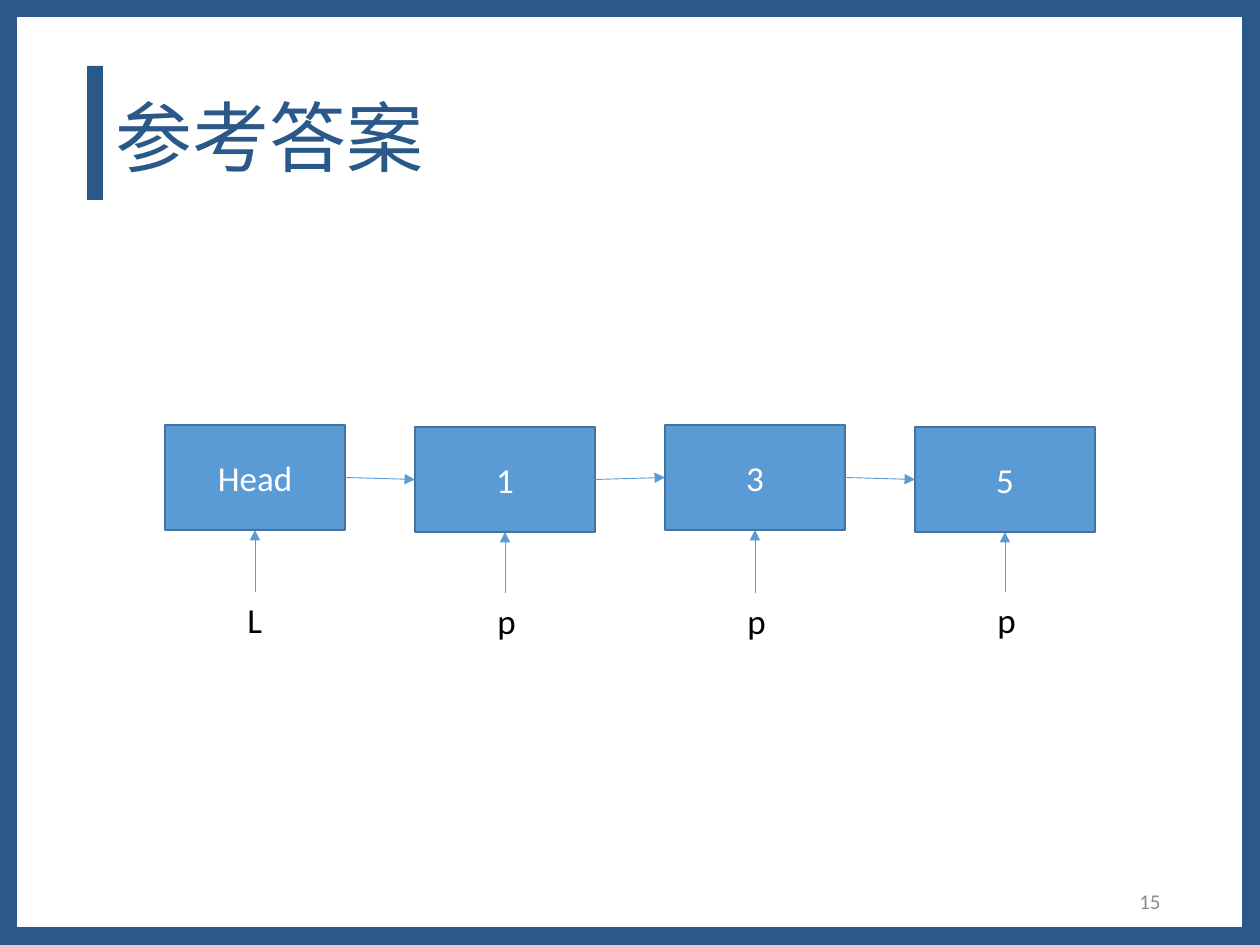
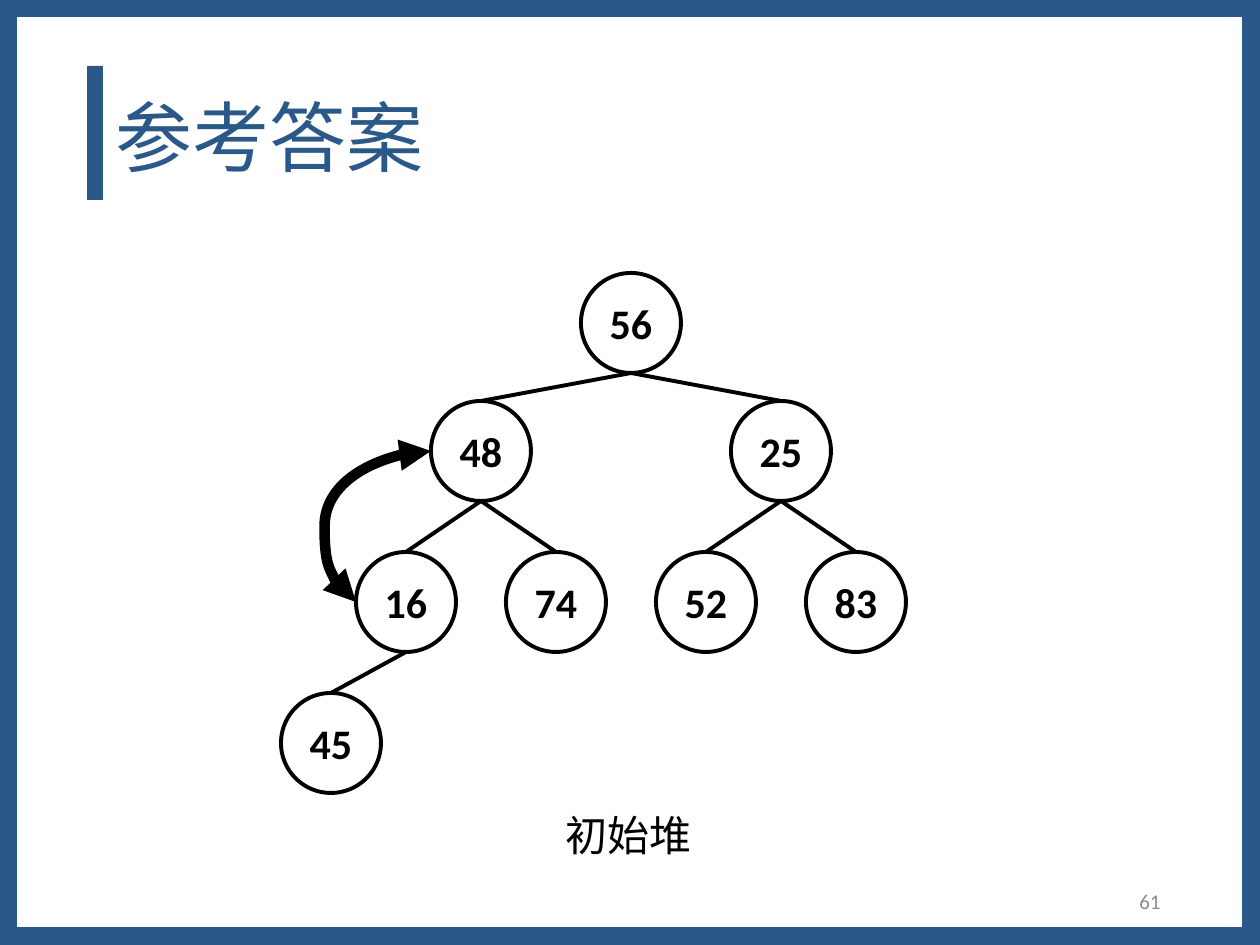
from dataclasses import dataclass

from lxml.etree import SubElement
from pptx import Presentation
from pptx.dml.color import RGBColor
from pptx.enum.shapes import MSO_CONNECTOR, MSO_SHAPE
from pptx.enum.text import MSO_ANCHOR, MSO_AUTO_SIZE, PP_ALIGN
from pptx.oxml.ns import qn
from pptx.util import Pt

PX = 914400 / 126
PAGE_WIDTH, PAGE_HEIGHT = 1260, 945
TITLE_ONLY = 5
TOP, LEFT, BOTTOM, RIGHT = range(4)


@dataclass(frozen=True)
class Theme:
    navy: str = "2A5989"
    blue: str = "5B9BD5"
    blue_edge: str = "43739E"
    gray: str = "8C8C8C"
    black: str = "000000"
    white: str = "FFFFFF"
    title_font: str = "Arial"
    body_font: str = "Calibri"
    title_size: int = 44
    large_size: int = 24
    body_size: int = 20
    number_size: int = 12


def emu(*lengths):
    return [round(length * PX) for length in lengths]


def color(value):
    return RGBColor.from_string(value)


class SlideBuilder:
    """Draws styled elements on the current slide; lengths are in px."""

    def __init__(self, deck, theme):
        self.deck = deck
        self.theme = theme
        self.page = None
        self.shapes = None

    def start(self, title, number):
        theme = self.theme
        self.page = self.deck.slides.add_slide(self.deck.slide_layouts[TITLE_ONLY])
        self.shapes = self.page.shapes
        self.shape(MSO_SHAPE.RECTANGLE, (0, 0, PAGE_WIDTH, PAGE_HEIGHT), line=(theme.navy, 20))
        self.shape(MSO_SHAPE.RECTANGLE, (87, 66, 16, 134), fill=theme.navy)
        self.title(title)
        box = self.text((890, 876, 283, 50), number, theme.number_size, theme.gray, PP_ALIGN.RIGHT)
        box.text_frame.vertical_anchor = MSO_ANCHOR.MIDDLE

    def title(self, words):
        box = self.shapes.title
        box.left, box.top, box.width, box.height = emu(103, 50, 1070, 183)
        frame = box.text_frame
        frame.auto_size = MSO_AUTO_SIZE.NONE
        frame.vertical_anchor = MSO_ANCHOR.MIDDLE
        para = self.set_words(frame, words, self.theme.title_size, self.theme.navy, PP_ALIGN.LEFT)
        para.font.name = self.theme.title_font
        para.line_spacing = 0.9

    def set_words(self, frame, words, size, ink, align):
        frame.text = words
        para = frame.paragraphs[0]
        para.alignment = align
        para.font.name = self.theme.body_font
        para.font.size = Pt(size)
        para.font.color.rgb = color(ink)
        return para

    def text(self, place, words, size, ink, align=PP_ALIGN.LEFT, wrap=True, grow=False):
        box = self.shapes.add_textbox(*emu(*place))
        frame = box.text_frame
        frame.word_wrap = wrap
        frame.auto_size = MSO_AUTO_SIZE.SHAPE_TO_FIT_TEXT if grow else MSO_AUTO_SIZE.NONE
        self.set_words(frame, words, size, ink, align)
        return box

    def shape(self, kind, place, fill=None, line=None):
        """Add a preset shape; line is a (colour, points) pair."""
        box = self.shapes.add_shape(kind, *emu(*place))
        box.shadow.inherit = False
        if fill:
            box.fill.solid()
            box.fill.fore_color.rgb = color(fill)
        else:
            box.fill.background()
        if line:
            box.line.color.rgb = color(line[0])
            box.line.width = Pt(line[1])
        else:
            box.line.fill.background()
        return box

    def list_node(self, place, words):
        theme = self.theme
        box = self.shape(MSO_SHAPE.RECTANGLE, place, theme.blue, (theme.blue_edge, 1))
        box.text_frame.vertical_anchor = MSO_ANCHOR.MIDDLE
        self.set_words(box.text_frame, words, theme.body_size, theme.white, PP_ALIGN.CENTER)
        return box

    def tree_node(self, place, words):
        theme = self.theme
        circle = self.shape(MSO_SHAPE.OVAL, place, line=(theme.black, 2.25))
        frame = circle.text_frame
        frame.word_wrap = False
        frame.vertical_anchor = MSO_ANCHOR.MIDDLE
        para = self.set_words(frame, words, theme.large_size, theme.black, PP_ALIGN.CENTER)
        para.font.bold = True

    def connector(self, begin, end, ink, width, arrows=(), kind=MSO_CONNECTOR.STRAIGHT):
        """Draw a line; arrows names the ends (headEnd, tailEnd) with a triangle."""
        line = self.shapes.add_connector(kind, *emu(*begin, *end))
        line.line.color.rgb = color(ink)
        line.line.width = Pt(width)
        properties = line.element.spPr
        for arrow in arrows:
            SubElement(properties.find(qn("a:ln")), qn(f"a:{arrow}"), type="triangle")
        SubElement(properties, qn("a:effectLst"))
        return line

    def pointer(self, begin, end):
        return self.connector(begin, end, self.theme.blue, 0.5, ["tailEnd"])


def build_linked_list(builder):
    theme = builder.theme
    builder.start("参考答案", "15")
    width, height, step = 180, 105, 250
    # Each entry: value, box top, pointer name, pointer label top
    nodes = [("Head", 425, "L", 592), ("1", 427, "p", 593),
             ("3", 425, "p", 593), ("5", 427, "p", 592)]
    previous = None
    for index, (value, top, name, label_top) in enumerate(nodes):
        left = 165 + index * step
        center = left + width // 2
        box = builder.list_node((left, top, width, height), value)
        if previous:
            middle = top + height // 2
            link = builder.pointer((left - step + width, middle), (left, middle))
            link.begin_connect(previous, RIGHT)
            link.end_connect(box, LEFT)
        builder.text((center - 20, label_top, 40, 55), name,
                     theme.body_size, theme.black, grow=True)
        pointer = builder.pointer((center, label_top), (center, top + height))
        pointer.end_connect(box, BOTTOM)
        previous = box


def build_heap(builder):
    theme = builder.theme
    builder.start("参考答案", "61")
    values = [56, 48, 25, 16, 74, 52, 83, 45]
    level_tops = [273, 401, 552, 693]
    spreads = [0, 150, 75, 75]
    size, radius = 100, 50

    builder.shapes = builder.page.shapes.add_group_shape().shapes
    spots = []
    for index, value in enumerate(values):
        level = (index + 1).bit_length() - 1
        top = level_tops[level]
        if index == 0:
            center = 631
        else:
            parent_center, parent_top = spots[(index - 1) // 2]
            side = -1 if index % 2 else 1
            center = parent_center + side * spreads[level]
            builder.connector((parent_center, parent_top + size), (center, top),
                              theme.black, 2.25)
        spots.append((center, top))
        builder.tree_node((center - radius, top, size, size), str(value))
    builder.shapes = builder.page.shapes

    builder.text((553, 803, 152, 63), "初始堆", theme.large_size, theme.black,
                 wrap=False, grow=True)
    begin, end = [(center - radius, top + radius) for center, top in (spots[1], spots[3])]
    swap = builder.connector(begin, end, theme.black, 6, ["headEnd", "tailEnd"],
                             MSO_CONNECTOR.CURVE)
    adjustments = swap.element.spPr.find(f".//{qn('a:avLst')}")
    SubElement(adjustments, qn("a:gd"), name="adj1", fmla="val 141900")


def main():
    deck = Presentation()
    deck.slide_width, deck.slide_height = emu(PAGE_WIDTH, PAGE_HEIGHT)
    builder = SlideBuilder(deck, Theme())
    build_linked_list(builder)
    build_heap(builder)
    deck.save("out.pptx")


if __name__ == "__main__":
    main()
